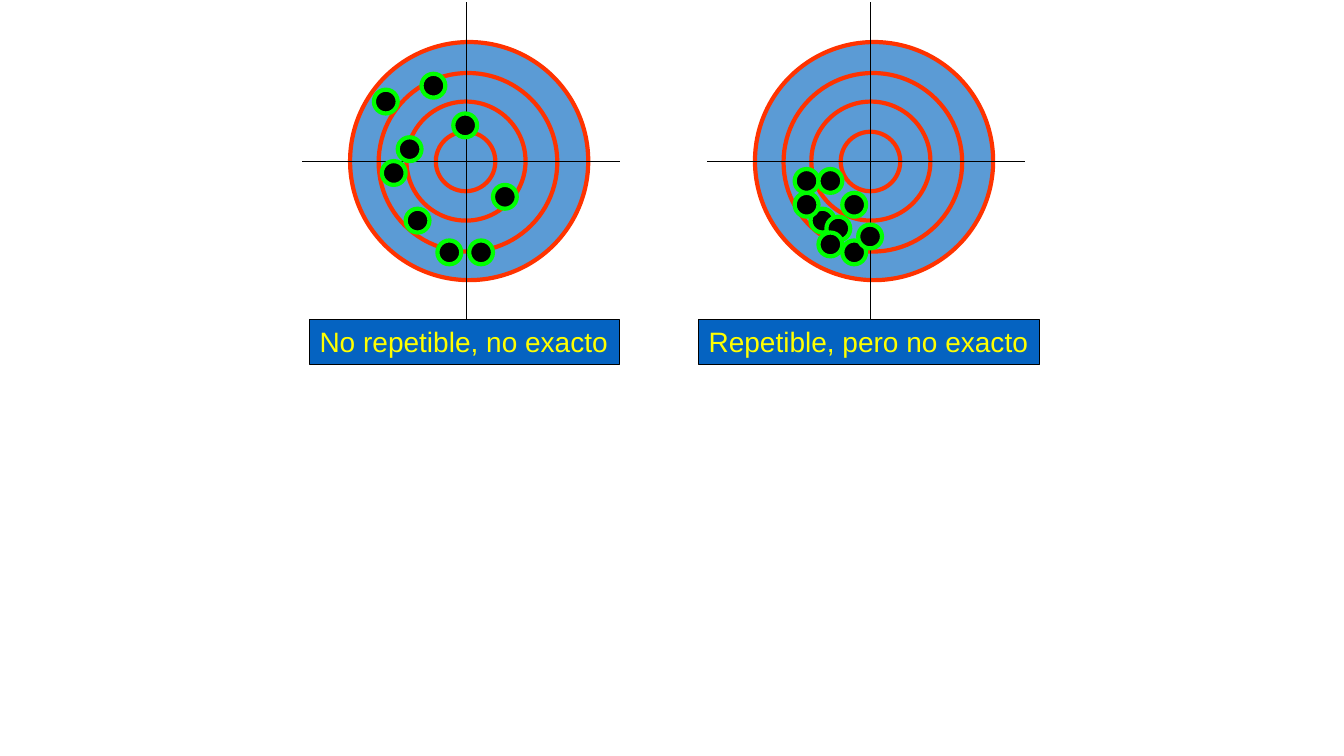
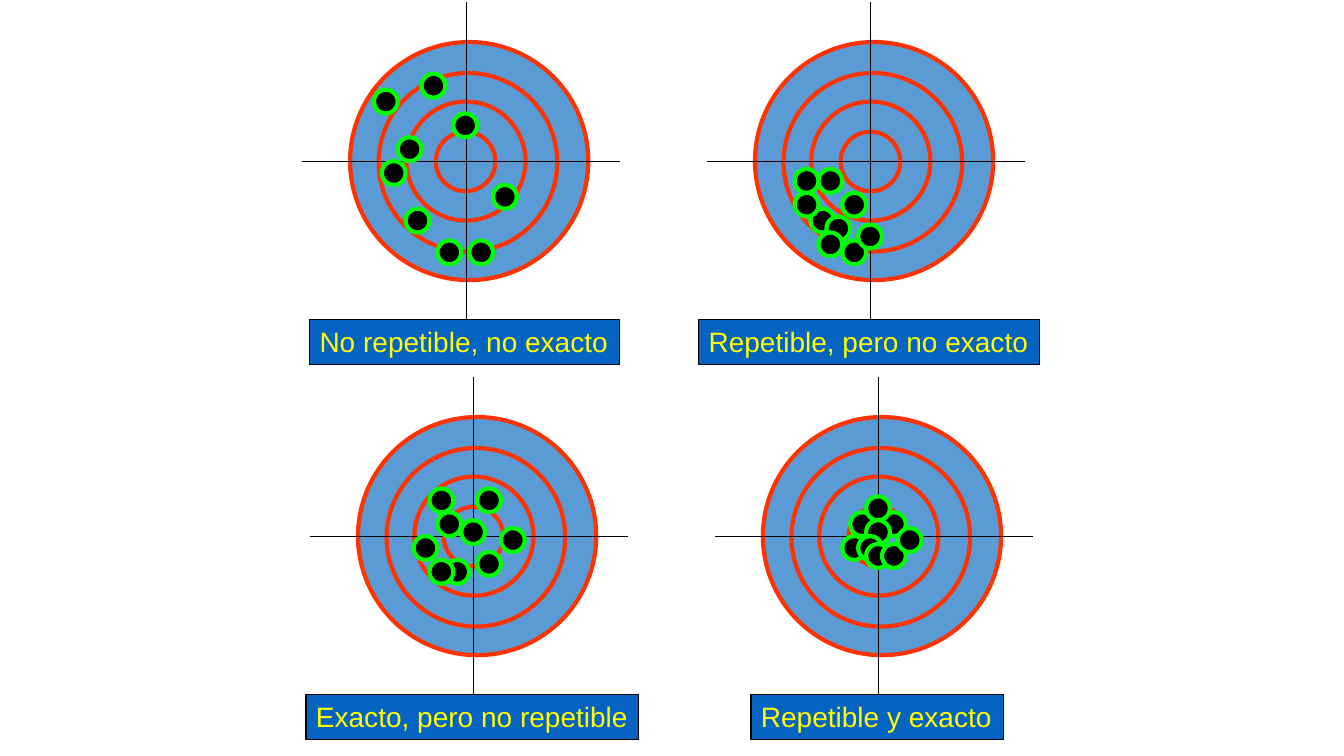
"""Build two slides of targets that compare repeatability with exactness."""
import pptx
import pptx.util
import pptx.dml.color
import pptx.enum.shapes
import pptx.enum.text
import pptx.oxml.ns
import lxml.etree

COLOURS = {
    "target": "5B9BD5", "ring": "FF3300", "axis": "000000", "hit": "000000",
    "halo": "00FF00", "label": "0563C1", "border": "000000", "text": "FFFF00",
}
CELL = pptx.util.Cm(0.2)
RADIUS = 15
HIT_SIZE = 3
RINGS = [(0, 0, 30), (3.6, 3.9, 22.5), (7.1, 7.5, 15), (10.8, 11.3, 7.5)]
AXES = [(-6, 15, 34, 15), (14.6, 35, 14.6, -5)]
LABEL_CENTRE, LABEL_TOP, LABEL_HEIGHT = 14.4, 35, 5.6
LABEL_FONT = {"name": "Arial", "size": pptx.util.Pt(20)}
LABEL_FRAME = {
    "word_wrap": False,
    "auto_size": pptx.enum.text.MSO_AUTO_SIZE.SHAPE_TO_FIT_TEXT,
}
TARGETS = [
    {"column": 0, "row": 0, "label": "No repetible, no exacto", "width": 39,
     "hits": [(11, 25), (15, 25), (18, 18), (7, 21), (4, 15),
              (9, 4), (13, 9), (6, 12), (3, 6)]},
    {"column": 1, "row": 0, "label": "Repetible, pero no exacto", "width": 43,
     "hits": [(11, 19), (7, 21), (5, 19), (5, 16), (9, 22),
              (8, 24), (8, 16), (11, 25), (13, 23)]},
    {"column": 0, "row": 1, "label": "Exacto, pero no repetible", "width": 41.9,
     "hits": [(11, 18), (15, 17), (18, 14), (9, 18), (7, 15),
              (13, 13), (15, 9), (10, 12), (9, 9)]},
    {"column": 1, "row": 1, "label": "Repetible y exacto", "width": 31.8,
     "hits": [(15, 12), (11, 12), (13, 10), (10, 15), (13, 13),
              (12, 15), (13, 16), (15, 16), (17, 14)]},
]


def cells(*counts):
    """Turn counts of grid cells into lengths."""
    return [round(count * CELL) for count in counts]


def paint(shape, fill, line, width):
    """Give a shape its fill and outline."""
    shape.fill.solid()
    shape.fill.fore_color.rgb = pptx.dml.color.RGBColor.from_string(COLOURS[fill])
    shape.line.color.rgb = pptx.dml.color.RGBColor.from_string(COLOURS[line])
    shape.line.width = pptx.util.Pt(width)
    shape.shadow.inherit = False


deck = pptx.Presentation()
deck.slide_width = pptx.util.Inches(13.33)
deck.slide_height = pptx.util.Inches(7.5)

for target_count in (2, 4):
    page = deck.slides.add_slide(deck.slide_layouts[6])
    for target in TARGETS[:target_count]:
        left = 44.1 + 51 * target["column"] + target["row"]
        top = 5.3 + 47.25 * target["row"]
        group = page.shapes.add_group_shape()

        for x, y, size in RINGS:
            ring = group.shapes.add_shape(
                pptx.enum.shapes.MSO_SHAPE.OVAL,
                *cells(left + x, top + y, size, size))
            paint(ring, "target", "ring", 3)

        for x1, y1, x2, y2 in AXES:
            axis = group.shapes.add_connector(
                pptx.enum.shapes.MSO_CONNECTOR.STRAIGHT,
                *cells(left + x1, top + y1, left + x2, top + y2))
            axis.line.color.rgb = pptx.dml.color.RGBColor.from_string(COLOURS["axis"])
            axis.line.width = pptx.util.Pt(0.75)
            lxml.etree.SubElement(
                axis._element.spPr, pptx.oxml.ns.qn("a:effectLst"))

        for x, y in target["hits"]:
            hit = group.shapes.add_shape(
                pptx.enum.shapes.MSO_SHAPE.OVAL,
                *cells(left + x, top + y, HIT_SIZE, HIT_SIZE))
            paint(hit, "hit", "halo", 3)

        box = page.shapes.add_textbox(*cells(
            left + LABEL_CENTRE - target["width"] / 2, top + LABEL_TOP,
            target["width"], LABEL_HEIGHT))
        paint(box, "label", "border", 0.75)
        for name, value in LABEL_FRAME.items():
            setattr(box.text_frame, name, value)
        para = box.text_frame.paragraphs[0]
        span = para.add_run()
        span.text = target["label"]
        span.font.color.rgb = pptx.dml.color.RGBColor.from_string(COLOURS["text"])
        for name, value in LABEL_FONT.items():
            setattr(span.font, name, value)

deck.save("out.pptx")
